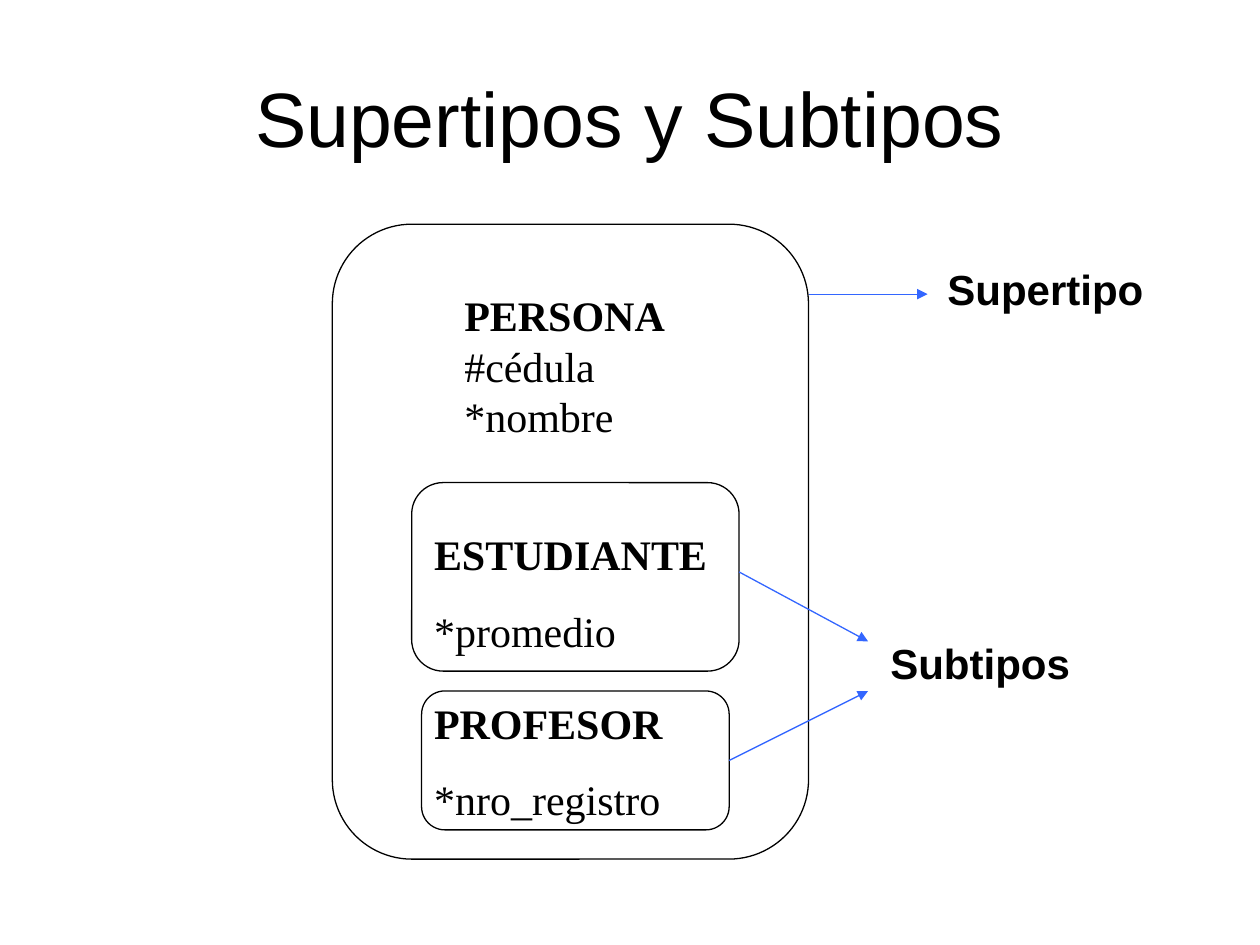
from lxml import etree
from pptx import Presentation
from pptx.dml.color import RGBColor
from pptx.enum.shapes import MSO_CONNECTOR, MSO_SHAPE
from pptx.enum.text import MSO_ANCHOR, MSO_AUTO_SIZE, PP_ALIGN
from pptx.oxml.ns import qn
from pptx.util import Cm, Pt

ROUNDED = MSO_SHAPE.ROUNDED_RECTANGLE
STRAIGHT = MSO_CONNECTOR.STRAIGHT
MIDDLE = MSO_ANCHOR.MIDDLE
FIT_SHAPE = MSO_AUTO_SIZE.SHAPE_TO_FIT_TEXT
FIXED = MSO_AUTO_SIZE.NONE
CENTER = PP_ALIGN.CENTER
LEFT = PP_ALIGN.LEFT

COLORS = {"ink": "000000", "arrow": "3366FF"}
SANS = "Arial"
SERIF = "Times New Roman"


def color(name):
    return RGBColor.from_string(COLORS[name])


def add_text(page, box, lines, font, size=24, bold_first=True, wrap=False,
             space_before=0, align=LEFT):
    frame = page.shapes.add_textbox(*map(Cm, box)).text_frame
    frame.word_wrap = wrap
    frame.auto_size = FIT_SHAPE
    for index, line in enumerate(lines):
        para = frame.add_paragraph() if index else frame.paragraphs[0]
        para.text = line
        para.alignment = align
        para.space_before = Pt(space_before)
        para.font.name = font
        para.font.size = Pt(size)
        para.font.bold = bold_first and index == 0
        para.font.color.rgb = color("ink")
    return frame


def add_outline(page, box):
    outline = page.shapes.add_shape(ROUNDED, *map(Cm, box))
    outline.adjustments[0] = 0.167
    outline.shadow.inherit = False
    outline.fill.background()
    outline.line.color.rgb = color("ink")
    outline.line.width = Pt(0.75)


def add_arrow(page, start, end):
    arrow = page.shapes.add_connector(STRAIGHT, *map(Cm, start + end))
    arrow.line.color.rgb = color("arrow")
    arrow.line.width = Pt(0.75)
    outline = arrow._element.spPr.find(qn("a:ln"))
    etree.SubElement(outline, qn("a:tailEnd"), type="triangle")
    etree.SubElement(arrow._element.spPr, qn("a:effectLst"))


def add_title(page, box):
    frame = add_text(page, box, ["Supertipos y Subtipos"], SANS, size=44,
                     bold_first=False, wrap=True, align=CENTER)
    frame.auto_size = FIXED
    frame.vertical_anchor = MIDDLE


def add_supertype(page, box):
    left, top, width, height = box
    add_outline(page, box)
    add_text(page, (left + 2.41, top + 1.2, 4.55, 3.3),
             ["PERSONA", "#cédula", "*nombre"], SERIF)


def add_subtype(page, box, lines, text_offset):
    left, top, width, height = box
    shift_x, shift_y = text_offset
    add_outline(page, box)
    add_text(page, (left + shift_x, top + shift_y, 7.39, 2.82), lines, SERIF,
             wrap=True, space_before=15)


def add_label(page, box, name, arrows):
    for start, end in arrows:
        add_arrow(page, start, end)
    add_text(page, box, [name], SANS)


def main():
    deck = Presentation()
    deck.slide_width, deck.slide_height = Cm(25.4), Cm(19.05)
    page = deck.slides.add_slide(deck.slide_layouts[6])

    person = (6.7, 4.52, 9.6, 12.8)
    student = (8.3, 9.73, 6.6, 3.8)
    teacher = (8.5, 13.93, 6.2, 2.8)
    person_right, student_right, teacher_right = (
        box[0] + box[2] for box in (person, student, teacher))

    add_title(page, (1.27, 0.76, 22.86, 3.18))
    add_supertype(page, person)
    add_subtype(page, student, ["ESTUDIANTE", "*promedio"], (0.2, 0.8))
    add_subtype(page, teacher, ["PROFESOR", "*nro_registro"], (0, 0))
    add_label(page, (18.85, 5.18, 4.45, 1.27), "Supertipo",
              [((person_right, 5.93), (18.7, 5.93))])
    add_label(page, (17.7, 12.73, 4.2, 1.27), "Subtipos",
              [((student_right, 11.53), (17.5, 12.93)),
               ((teacher_right, 15.33), (17.5, 13.93))])
    deck.save("out.pptx")


if __name__ == "__main__":
    main()
